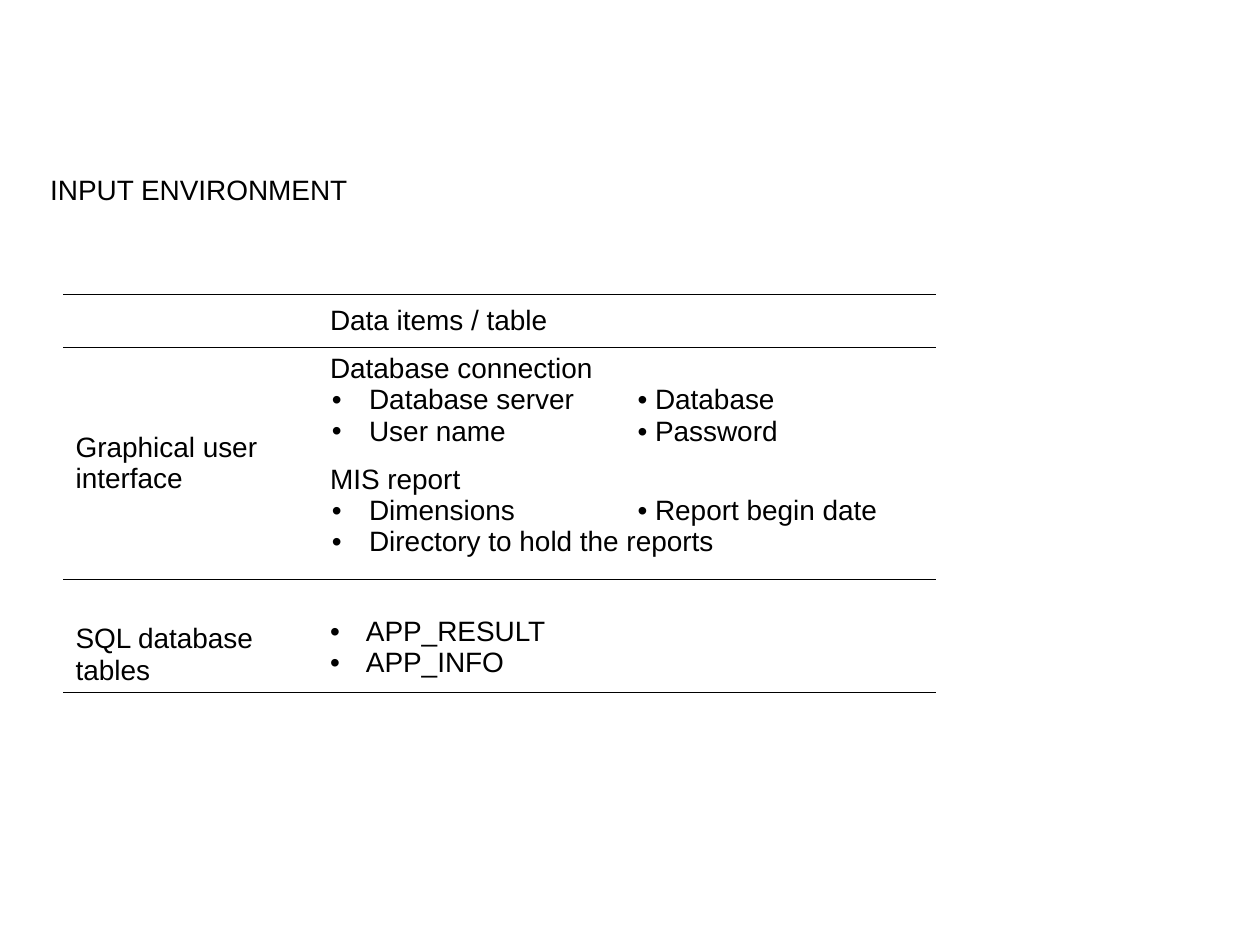
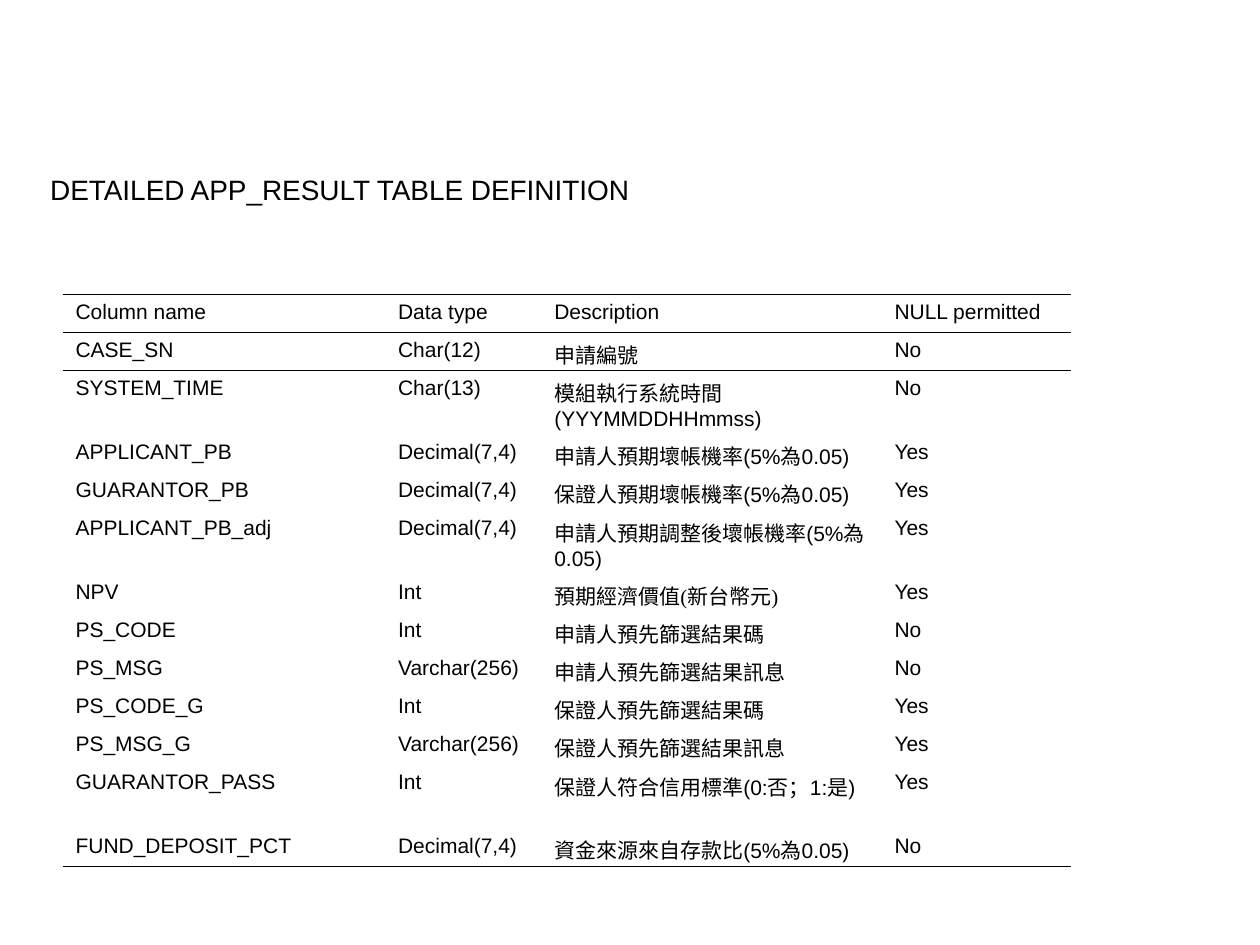
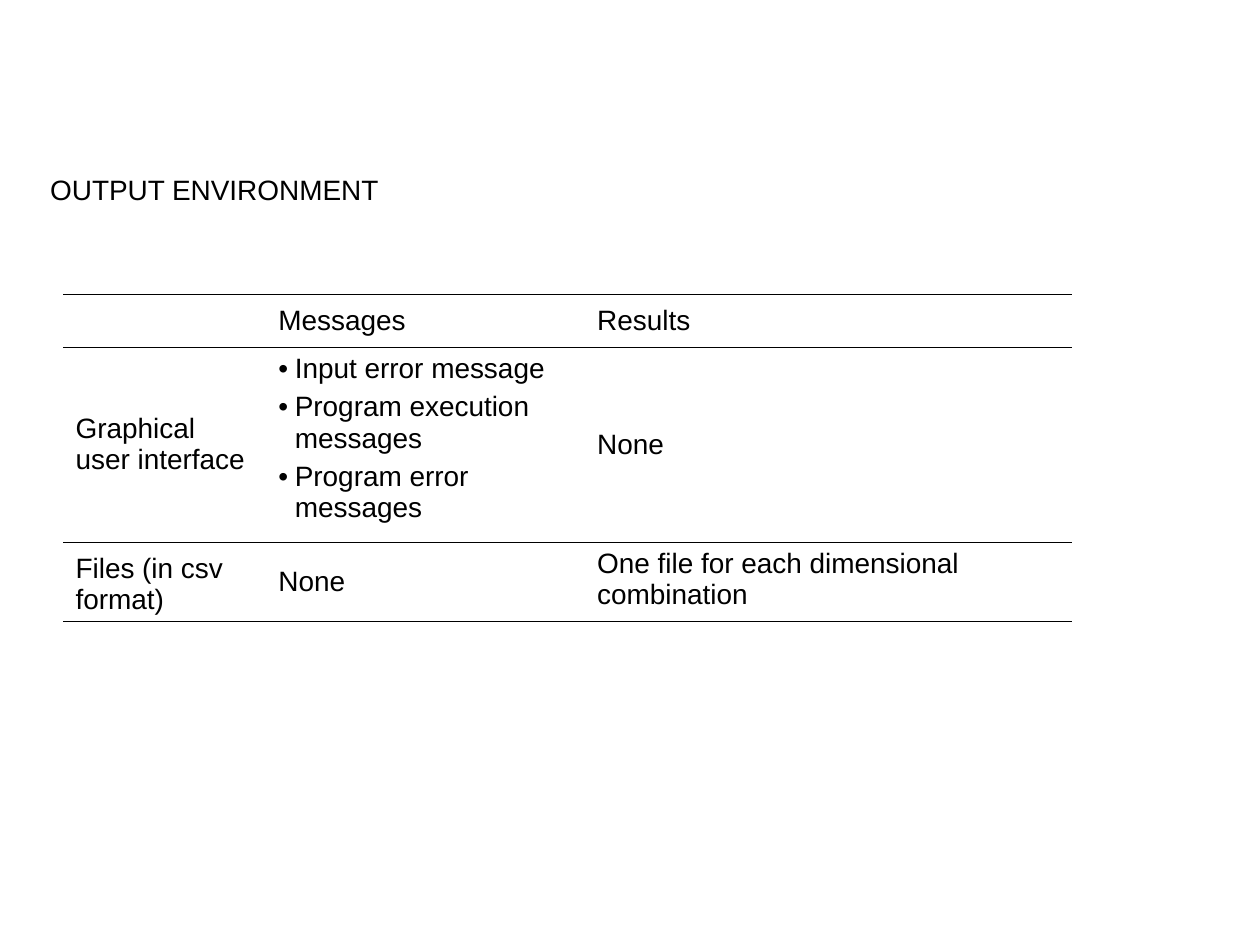
from pptx import Presentation
from pptx.dml.color import RGBColor
from pptx.enum import text as t
from pptx.oxml import parse_xml
from pptx.oxml.ns import nsdecls, qn
from pptx.util import Pt

HUES = {"ink": "000000"}
FACE = "Arial"
TITLE = (21.6, 93.6, 668.88, 26.64)
PLAIN = "{2D5ABB26-0587-4C30-8999-92F81FD0307C}"
TOP, MID, LOW = t.MSO_ANCHOR.TOP, t.MSO_ANCHOR.MIDDLE, t.MSO_ANCHOR.BOTTOM
THIN, THICK = 0.45, 0.75
LIST = {
    "sub": dict(left=22.3, hang=21.3, tab=175.7),
    "item": dict(left=20.5, hang=20.5),
    "note": dict(left=9.36, hang=9.36, gap=4),
}


def add_run(para, words, size, face=FACE):
    run = para.add_run()
    run.text = words
    run.font.size = Pt(size)
    run.font.name = face
    run.font.color.rgb = RGBColor.from_string(HUES["ink"])


def add_list(para, left, hang, tab=None, gap=0):
    props = para._p.get_or_add_pPr()
    props.set("marL", str(Pt(left)))
    props.set("indent", str(-Pt(hang)))
    if gap:
        para.space_before = Pt(gap)
    props.append(parse_xml(f'<a:buFont {nsdecls("a")} typeface="{FACE}"/>'))
    props.append(parse_xml(f'<a:buChar {nsdecls("a")} char="•"/>'))
    if tab:
        props.append(parse_xml(
            f'<a:tabLst {nsdecls("a")}><a:tab pos="{Pt(tab)}" algn="l"/></a:tabLst>'))


def add_title(slide, box, words):
    shape = slide.shapes.add_textbox(*map(Pt, box))
    frame = shape.text_frame
    frame.word_wrap = True
    frame.margin_top = Pt(5.2)
    add_run(frame.paragraphs[0], words, 16)


def add_rule(cell, side, width):
    line = parse_xml(
        f'<a:{side} {nsdecls("a")} w="{Pt(width)}"><a:solidFill>'
        f'<a:srgbClr val="{HUES["ink"]}"/></a:solidFill></a:{side}>')
    cell._tc.get_or_add_tcPr().append(line)


def fill_cell(cell, body, size):
    paras = body if isinstance(body, list) else [(body, None)]
    frame = cell.text_frame
    for i, (words, kind) in enumerate(paras):
        para = frame.add_paragraph() if i else frame.paragraphs[0]
        if kind in LIST:
            style = dict(LIST[kind])
            if not i:
                style["gap"] = 0
            add_list(para, **style)
        elif kind == "next":
            para.space_before = Pt(10)
        runs = [(words, FACE)] if isinstance(words, str) else words
        for part, face in runs:
            if part:
                add_run(para, part, size, face)


def add_grid(slide, spot, cols, rows, data, size, anchors=None):
    shape = slide.shapes.add_table(
        len(rows), len(cols), *map(Pt, (*spot, sum(cols), sum(rows))))
    grid = shape.table
    grid.first_row = grid.horz_banding = False
    grid._tbl.tblPr.find(qn("a:tableStyleId")).text = PLAIN
    for col, width in zip(grid.columns, cols):
        col.width = Pt(width)
    for row, height in zip(grid.rows, rows):
        row.height = Pt(height)
    last = len(rows) - 1
    for r, line in enumerate(data):
        for c, body in enumerate(line):
            cell = grid.cell(r, c)
            cell.vertical_anchor = anchors[r][c] if anchors else TOP
            if r < 2:
                add_rule(cell, "lnT", THIN if r else THICK)
            if r in (0, last):
                add_rule(cell, "lnB", THICK if r else THIN)
            cell.fill.background()
            fill_cell(cell, body, size)
    return grid


def add_page(deck, title):
    slide = deck.slides.add_slide(deck.slide_layouts[6])
    add_title(slide, TITLE, title)
    return slide


def input_page(deck, spot):
    slide = add_page(deck, "INPUT ENVIRONMENT")
    data = [
        ["", "Data items / table"],
        ["Graphical user interface", [
            ("Database connection", None),
            ("Database server\t• Database", "sub"),
            ("User name\t• Password", "sub"),
            ("MIS report", "next"),
            ("Dimensions\t• Report begin date", "sub"),
            ("Directory to hold the reports", "sub")]],
        ["SQL database tables", [("APP_RESULT", "item"), ("APP_INFO", "item")]],
    ]
    anchors = [[MID, MID], [MID, TOP], [LOW, TOP]]
    grid = add_grid(slide, spot, [145.44, 353.52], [30.3, 132.5, 64.6],
                    data, 16, anchors)
    grid.cell(2, 1).margin_top = Pt(21.4)


def field_page(deck, spot):
    slide = add_page(deck, "DETAILED APP_RESULT TABLE DEFINITION")
    serif = "Times New Roman"
    value = [("預期經濟價值", FACE), ("(", serif), ("新台幣元", FACE), (")", serif)]
    data = [
        ["Column name", "Data type", "Description", "NULL permitted"],
        ["CASE_SN", "Char(12)", "申請編號", "No"],
        ["SYSTEM_TIME", "Char(13)", "模組執行系統時間(YYYMMDDHHmmss)", "No"],
        ["APPLICANT_PB", "Decimal(7,4)", "申請人預期壞帳機率(5%為0.05)", "Yes"],
        ["GUARANTOR_PB", "Decimal(7,4)", "保證人預期壞帳機率(5%為0.05)", "Yes"],
        ["APPLICANT_PB_adj", "Decimal(7,4)", "申請人預期調整後壞帳機率(5%為0.05)", "Yes"],
        ["NPV", "Int", [(value, None)], "Yes"],
        ["PS_CODE", "Int", "申請人預先篩選結果碼", "No"],
        ["PS_MSG", "Varchar(256)", "申請人預先篩選結果訊息", "No"],
        ["PS_CODE_G", "Int", "保證人預先篩選結果碼", "Yes"],
        ["PS_MSG_G", "Varchar(256)", "保證人預先篩選結果訊息", "Yes"],
        ["GUARANTOR_PASS", "Int", "保證人符合信用標準(0:否；1:是)", "Yes"],
        ["FUND_DEPOSIT_PCT", "Decimal(7,4)", "資金來源來自存款比(5%為0.05)", "No"],
    ]
    tall = (2, 5, 11)
    rows = [36.36 if r in tall else 21.78 for r in range(len(data))]
    add_grid(slide, spot, [184.32, 89.28, 194.4, 108], rows, data, 12)


def output_page(deck, spot):
    slide = add_page(deck, "OUTPUT ENVIRONMENT")
    notes = ["Input error message", "Program execution messages",
             "Program error messages"]
    data = [
        ["", "Messages", "Results"],
        ["Graphical user interface", [(note, "note") for note in notes], "None"],
        ["Files (in csv format)", "None",
         "One file for each dimensional combination"],
    ]
    anchors = [[MID, MID, MID], [MID, TOP, MID], [LOW, MID, TOP]]
    add_grid(slide, spot, [115.92, 182.16, 278.64], [30.3, 110.9, 45.7],
             data, 16, anchors)


def main():
    deck = Presentation()
    deck.slide_width, deck.slide_height = Pt(720), Pt(540)
    for page in (input_page, field_page, output_page):
        page(deck, (36, 168.2))
    deck.save("out.pptx")


if __name__ == "__main__":
    main()
